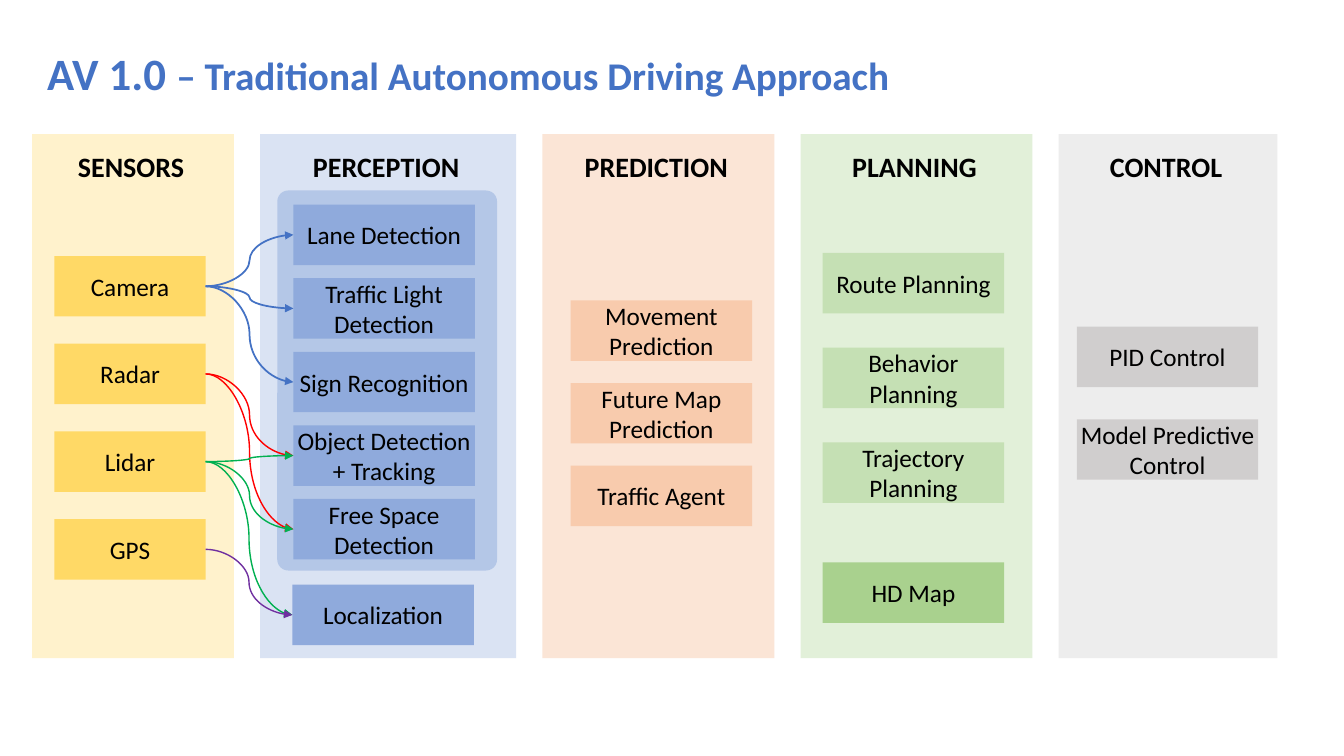
from lxml import etree
from pptx import Presentation
from pptx.dml.color import RGBColor
from pptx.enum.shapes import MSO_CONNECTOR as CONN, MSO_SHAPE as SHAPE
from pptx.enum.text import MSO_ANCHOR as ANCHOR, MSO_AUTO_SIZE as AUTO, PP_ALIGN as ALIGN
from pptx.oxml.ns import qn
from pptx.util import Inches, Pt

COLORS = {
    "black": "000000", "blue": "4472C4", "red": "FF0000", "green": "00B050", "purple": "7030A0",
    "sensor_bg": "FFF2CC", "sensor": "FFD966",
    "perception_bg": "DAE3F3", "perception_panel": "B4C7E7", "perception": "8FAADC",
    "prediction_bg": "FBE5D6", "prediction": "F8CBAD",
    "planning_bg": "E2F0D9", "planning": "C5E0B4", "map": "A9D18E",
    "control_bg": "EDEDED", "control": "D0CECE",
}
TITLE = [("AV 1.0 ", 32), ("– Traditional Autonomous Driving Approach", 28)]
COLUMNS = [
    ("SENSORS", 2.0, "sensor_bg"),
    ("PERCEPTION", 2.54, "perception_bg"),
    ("PREDICTION", 2.3, "prediction_bg"),
    ("PLANNING", 2.3, "planning_bg"),
    ("CONTROL", 2.17, "control_bg"),
]
STACKS = [
    (0.54, 2.54, 1.5, 0.87, 0.1, "sensor", ["Camera", "Radar", "Lidar", "GPS"]),
    (2.91, 2.03, 1.8, 0.73, 0, "perception",
     ["Lane Detection", "Traffic Light Detection", "Sign Recognition",
      "Object Detection + Tracking", "Free Space Detection"]),
    (2.9, 5.8, 1.8, 0, 0, "perception", ["Localization"]),
    (5.66, 2.98, 1.8, 0.82, 0.1, "prediction",
     ["Movement Prediction", "Future Map Prediction", "Traffic Agent"]),
    (8.16, 2.51, 1.8, 0.94, 0.1, "planning",
     ["Route Planning", "Behavior Planning", "Trajectory Planning"]),
    (8.16, 5.58, 1.8, 0, 0.1, "map", ["HD Map"]),
    (10.68, 3.24, 1.8, 0.92, 0.02, "control", ["PID Control", "Model Predictive Control"]),
]
FLOWS = [
    ("Camera", "blue", 1.25, ["Lane Detection", "Traffic Light Detection", "Sign Recognition"]),
    ("Radar", "red", 1, ["Object Detection + Tracking", "Free Space Detection"]),
    ("Lidar", "green", 1, ["Object Detection + Tracking", "Free Space Detection", "Localization"]),
    ("GPS", "purple", 1, ["Localization"]),
]
COLUMN_LEFT, COLUMN_TOP, COLUMN_HEIGHT, COLUMN_GAP = 0.32, 1.33, 5.2, 0.26
HEADING_WIDTH, HEADING_SHIFT = 1.69, 0.02
BOX_HEIGHT = 0.6


def rgb(name):
    return RGBColor.from_string(COLORS[name])


def add_block(s, kind, x, y, w, h, color):
    sp = s.shapes.add_shape(kind, Inches(x), Inches(y), Inches(w), Inches(h))
    sp.shadow.inherit = False
    sp.fill.solid()
    sp.fill.fore_color.rgb = rgb(color)
    sp.line.fill.background()
    return sp


def write(tf, runs, color, bold, align):
    p = tf.paragraphs[0]
    p.alignment = align
    for text, size in runs:
        r = p.add_run()
        r.text = text
        for key, value in {"name": "Calibri", "size": Pt(size), "bold": bold}.items():
            setattr(r.font, key, value)
        r.font.color.rgb = rgb(color)


def add_label(s, x, y, w, h, runs, color, align):
    tf = s.shapes.add_textbox(Inches(x), Inches(y), Inches(w), Inches(h)).text_frame
    tf.word_wrap = True
    tf.auto_size = AUTO.SHAPE_TO_FIT_TEXT
    write(tf, runs, color, True, align)


def add_box(s, x, y, w, inset, color, text):
    sp = add_block(s, SHAPE.RECTANGLE, x, y, w, BOX_HEIGHT, color)
    tf = sp.text_frame
    frame = {"word_wrap": True, "vertical_anchor": ANCHOR.MIDDLE,
             "margin_left": Inches(inset), "margin_right": Inches(inset)}
    for key, value in frame.items():
        setattr(tf, key, value)
    write(tf, [(text, 18)], "black", False, ALIGN.CENTER)
    return sp


def add_flow(s, source, target, color, width):
    c = s.shapes.add_connector(CONN.CURVE, source.left + source.width, source.top + source.height // 2,
                               target.left, target.top + target.height // 2)
    c.begin_connect(source, 3)
    c.end_connect(target, 1)
    c.line.color.rgb = rgb(color)
    c.line.width = Pt(width)
    etree.SubElement(c.line._get_or_add_ln(), qn("a:tailEnd"), type="triangle")
    etree.SubElement(c._element.spPr, qn("a:effectLst"))


def main():
    prs = Presentation()
    prs.slide_width, prs.slide_height = Inches(13.33), Inches(7.5)
    s = prs.slides.add_slide(prs.slide_layouts[6])

    add_label(s, 0.37, 0.4, 8.57, 0.64, TITLE, "blue", ALIGN.LEFT)
    x = COLUMN_LEFT
    for heading, width, color in COLUMNS:
        add_block(s, SHAPE.RECTANGLE, x, COLUMN_TOP, width, COLUMN_HEIGHT, color)
        add_label(s, x + (width - HEADING_WIDTH) / 2 - HEADING_SHIFT, COLUMN_TOP + 0.1,
                  HEADING_WIDTH, 0.44, [(heading, 20)], "black", ALIGN.CENTER)
        x += width + COLUMN_GAP
    panel = add_block(s, SHAPE.ROUNDED_RECTANGLE, 2.75, 1.89, 2.18, 3.77, "perception_panel")
    panel.adjustments[0] = 0.05

    boxes = {}
    for x, top, width, pitch, inset, color, names in STACKS:
        for i, name in enumerate(names):
            boxes[name] = add_box(s, x, top + i * pitch, width, inset, color, name)
    for source, color, width, targets in FLOWS:
        for target in targets:
            add_flow(s, boxes[source], boxes[target], color, width)

    prs.save("out.pptx")


if __name__ == "__main__":
    main()
